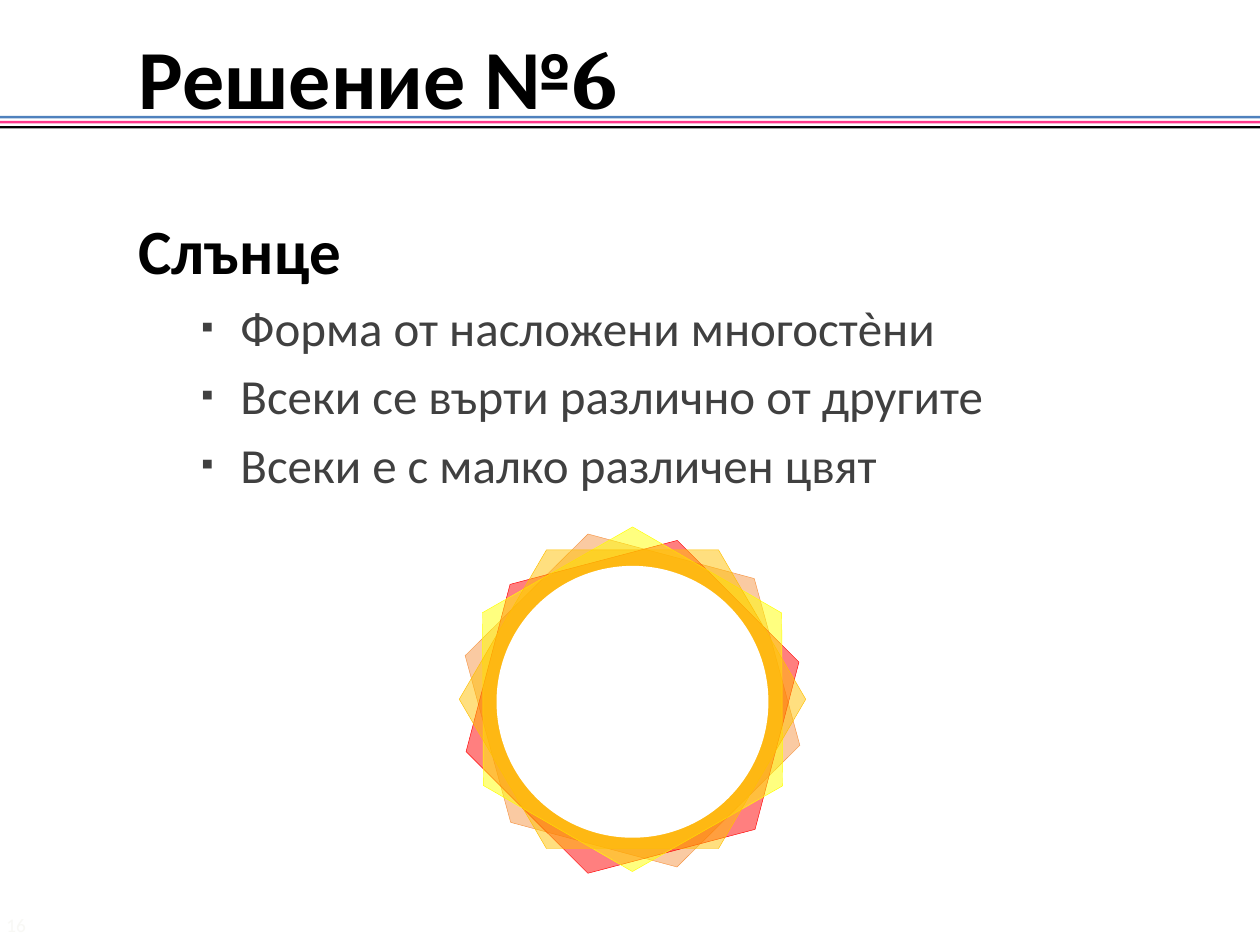
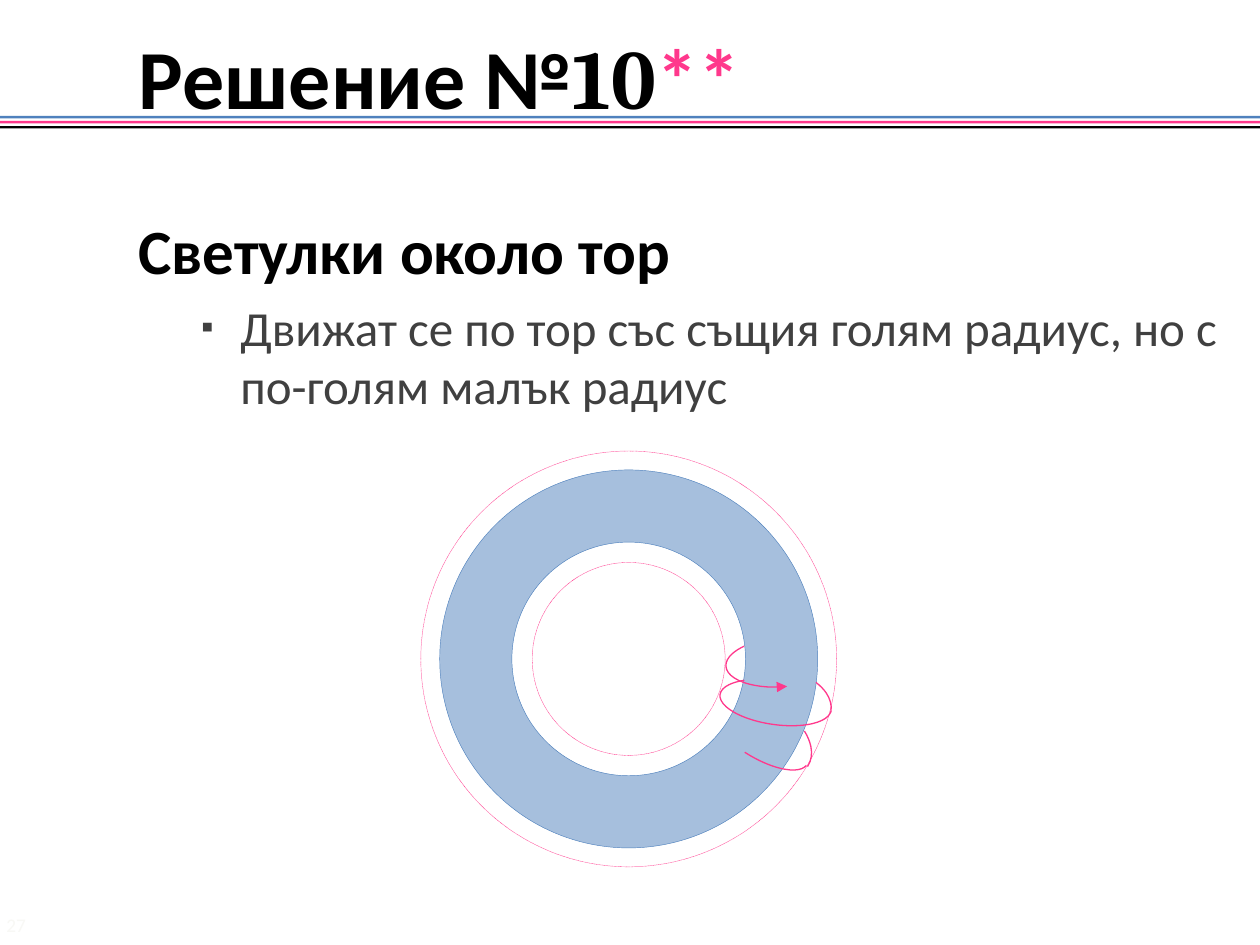
from lxml import etree
from pptx import Presentation
from pptx.dml.color import RGBColor
from pptx.enum.dml import MSO_LINE
from pptx.enum.shapes import MSO_SHAPE
from pptx.enum.text import MSO_ANCHOR, MSO_AUTO_SIZE, PP_ALIGN
from pptx.oxml.ns import qn
from pptx.util import Inches, Pt

RECTANGLE = MSO_SHAPE.RECTANGLE
HEXAGON = MSO_SHAPE.HEXAGON
OVAL = MSO_SHAPE.OVAL
DONUT = MSO_SHAPE.DONUT
ARC = MSO_SHAPE.ARC
DOTTED = MSO_LINE.ROUND_DOT
MIDDLE = MSO_ANCHOR.MIDDLE
NO_AUTOFIT = MSO_AUTO_SIZE.NONE
LEFT = PP_ALIGN.LEFT

SLIDE_WIDTH, SLIDE_HEIGHT = Inches(10), Inches(7.5)
CELL = SLIDE_WIDTH // 10
TITLE_ONLY = 5
BODY_FONT, NUMBER_FONT = "Calibri", "Cambria"
COLORS = {
    "blue": "4F81BD",
    "pink": "FF388C",
    "black": "000000",
    "gray": "404040",
    "white": "FFFFFF",
    "faint": "F8F8F5",
    "orange": "F79646",
    "red": "FF0000",
    "yellow": "FFFF00",
    "gold": "FFC000",
}


def color(name):
    return RGBColor.from_string(COLORS[name])


def cells(*lengths):
    return [round(length * CELL) for length in lengths]


def centered(x, y, width, height):
    return x - width / 2, y - height / 2, width, height


def set_font(font, name, size, color_name, bold=False):
    font.name, font.size, font.bold = name, Pt(size), bold
    font.color.rgb = color(color_name)


def add_run(paragraph, text, *font_style):
    run = paragraph.add_run()
    run.text = text
    set_font(run.font, *font_style)


def add_text_box(slide, box):
    frame = slide.shapes.add_textbox(*cells(*box)).text_frame
    frame.word_wrap = True
    return frame


def add_figure(slide, kind, box, fill=None, line=None, weight=0.25,
               alpha=None, rotation=0, adjustments=()):
    shape = slide.shapes.add_shape(kind, *cells(*box))
    shape.shadow.inherit = False
    shape.rotation = rotation
    for index, value in enumerate(adjustments):
        shape.adjustments[index] = value
    if fill:
        shape.fill.solid()
        shape.fill.fore_color.rgb = color(fill)
    else:
        shape.fill.background()
    if alpha:
        fill_color = shape._element.spPr.find(qn("a:solidFill"))[0]
        etree.SubElement(fill_color, qn("a:alpha"), val=str(alpha * 1000))
    if line:
        shape.line.color.rgb = color(line)
        shape.line.width = Pt(weight)
    else:
        shape.line.fill.background()
    return shape


def add_arc(slide, box, rotation, start, end):
    return add_figure(slide, ARC, box, line="pink", weight=0.75, rotation=rotation,
                      adjustments=(start, end))


def add_arrowhead(shape):
    line = shape.line._get_or_add_ln()
    etree.SubElement(line, qn("a:headEnd"), type="triangle")


def add_bullet(paragraph):
    properties = paragraph._p.get_or_add_pPr()
    properties.set("marL", str(Inches(0.81)))
    properties.set("indent", str(Inches(-0.31)))
    bullet_color = etree.SubElement(properties, qn("a:buClr"))
    etree.SubElement(bullet_color, qn("a:srgbClr"), val=COLORS["gray"])
    etree.SubElement(properties, qn("a:buSzPct"), val="70000")
    etree.SubElement(properties, qn("a:buFont"), typeface=BODY_FONT)
    etree.SubElement(properties, qn("a:buChar"), char="▪")


def add_bands(slide):
    for index, name in enumerate(("blue", "pink", "black")):
        add_figure(slide, RECTANGLE, (0, 0.92 + 0.04 * index, 10, 0.02), fill=name)


def add_page_number(slide, number):
    frame = add_text_box(slide, (0, 7.2, 0.6, 0.28))
    frame.margin_left = Inches(0.05)
    paragraph = frame.paragraphs[0]
    paragraph.text = number
    set_font(paragraph.font, BODY_FONT, 11, "faint")


def set_title(slide, number, stars):
    title = slide.shapes.title
    title.left, title.top, title.width, title.height = cells(0, 0.25, 10, 0.71)
    frame = title.text_frame
    frame.auto_size = NO_AUTOFIT
    frame.vertical_anchor = MIDDLE
    paragraph = frame.paragraphs[0]
    paragraph.alignment = LEFT
    paragraph._p.get_or_add_pPr().set("marL", str(CELL))
    add_run(paragraph, "Решение №", BODY_FONT, 48, "black", True)
    add_run(paragraph, number, NUMBER_FONT, 48, "black", True)
    if stars:
        add_run(paragraph, stars, BODY_FONT, 48, "pink", True)


def add_body(slide, heading, items):
    frame = add_text_box(slide, (1, 1.33, 8.92, 6.08))
    paragraph = frame.paragraphs[0]
    paragraph.text = heading
    paragraph.line_spacing = 1.5
    paragraph.space_before = Pt(7.2)
    set_font(paragraph.font, BODY_FONT, 36, "black", True)
    for item in items:
        paragraph = frame.add_paragraph()
        paragraph.text = item
        paragraph.space_before = Pt(5.6)
        add_bullet(paragraph)
        set_font(paragraph.font, BODY_FONT, 28, "gray")


def add_solution_slide(presentation, page, number, heading, items, stars=""):
    slide = presentation.slides.add_slide(presentation.slide_layouts[TITLE_ONLY])
    add_bands(slide)
    add_page_number(slide, page)
    set_title(slide, number, stars)
    add_body(slide, heading, items)
    return slide


def draw_sun(slide):
    center_x, center_y = 5.02, 5.55
    hexagons = (("orange", 15, 0.01), ("red", 45, 0.06), ("yellow", 30, 0), ("gold", 0, 0))
    for name, rotation, drop in hexagons:
        add_figure(slide, HEXAGON, centered(center_x, center_y + drop, 2.75, 2.37),
                   fill=name, line=name, alpha=50, rotation=rotation, adjustments=(0.292,))
    add_figure(slide, OVAL, centered(center_x, center_y + 0.02, 2.13, 2.13),
               fill="white", line="white", weight=2)


def draw_torus(slide):
    center = 4.99, 5.23
    add_figure(slide, DONUT, centered(*center, 3, 3), fill="blue", line="blue",
               alpha=50, adjustments=(0.191,))
    orbit = add_figure(slide, DONUT, centered(*center, 3.3, 3.3), line="pink",
                       adjustments=(0.268,))
    orbit.line.dash_style = DOTTED
    add_arc(slide, (5.71, 5.4, 0.89, 0.35), 188.2, 108.63, 16.31)
    add_arc(slide, (5.7, 5.3, 0.9, 0.56), 188.2, 87.03, 108.74)
    add_arrowhead(add_arc(slide, (5.76, 5.06, 0.89, 0.39), 175.8, 157.1, 16.31))
    add_arc(slide, (5.58, 5.66, 0.89, 0.35), 211.5, 108.63, 167.14)
    add_arc(slide, (5.58, 5.56, 0.9, 0.56), 211.5, 85.33, 108.74)


def main():
    presentation = Presentation()
    presentation.slide_width, presentation.slide_height = SLIDE_WIDTH, SLIDE_HEIGHT
    draw_sun(add_solution_slide(presentation, "16", "6", "Слънце", (
        "Форма от насложени многостèни",
        "Всеки се върти различно от другите",
        "Всеки е с малко различен цвят",
    )))
    draw_torus(add_solution_slide(presentation, "27", "10", "Светулки около тор", (
        "Движат се по тор със същия голям радиус, но с по-голям малък радиус",
    ), stars="**"))
    presentation.save("out.pptx")


if __name__ == "__main__":
    main()
